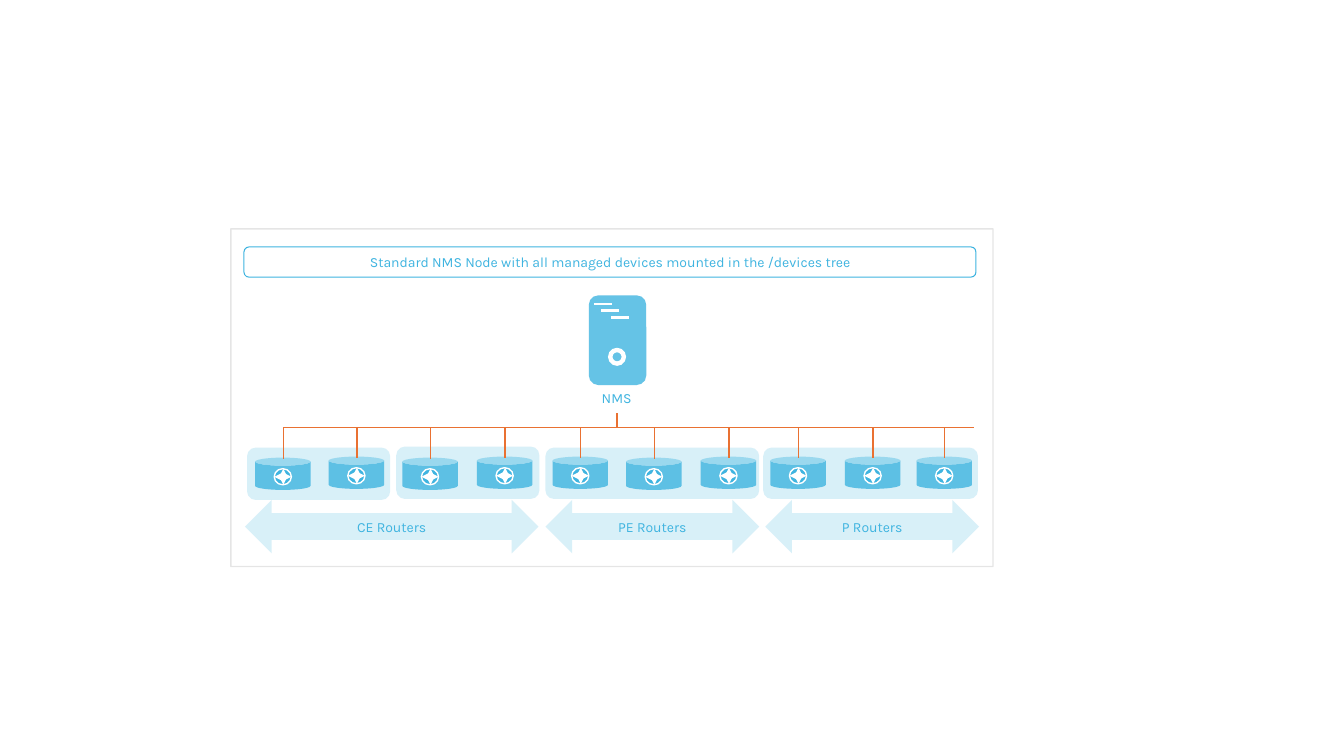
from pptx import Presentation
from pptx import util as u
from pptx.dml.color import RGBColor
from pptx.enum import shapes, text
from pptx.oxml import ns, xmlchemy as xc

PX = 9144  # 100 px to the inch
BLUE, ORANGE, WHITE, GREY = "3FB4E0", "E97132", "FFFFFF", "808080"
kind = shapes.MSO_SHAPE
rgb = RGBColor.from_string


def draw(parent, form, box, fill=None, line=None, width=1, alpha=100):
    """Add a preset shape; alpha is the opacity in percent."""
    item = parent.shapes.add_shape(form, *[n * PX for n in box])
    item.shadow.inherit = False
    if fill:
        item.fill.solid()
        item.fill.fore_color.rgb = rgb(fill)
    else:
        item.fill.background()
    if line:
        item.line.color.rgb = rgb(line)
        item.line.width = u.Pt(width)
    else:
        item.line.fill.background()
    if alpha < 100:
        for clr in item._element.spPr.iter(ns.qn("a:srgbClr")):
            clr.append(xc.OxmlElement("a:alpha"))
            clr[-1].set("val", str(alpha * 1000))
    return item


def label(item, words, size=10, font="Karla", color=BLUE,
          align=text.PP_ALIGN.CENTER, anchor=text.MSO_ANCHOR.MIDDLE):
    frame = item.text_frame
    frame.word_wrap = True
    frame.vertical_anchor = anchor
    para = frame.paragraphs[0]
    para.alignment = align
    run = para.add_run()
    run.text = words
    run.font.size = u.Pt(size)
    run.font.name = font
    run.font.color.rgb = rgb(color)


deck = Presentation()
deck.slide_width, deck.slide_height = 1333 * PX, 750 * PX
slide = deck.slides.add_slide(deck.slide_layouts[6])
wires = []  # parent, x1, y1, x2, y2, colour, width, arrowheads

# Frame and heading
draw(slide, kind.RECTANGLE, (229, 227, 756, 335), line=GREY, alpha=20)
head = draw(slide, kind.ROUNDED_RECTANGLE, (242, 245, 726, 30), line=BLUE, width=0)
label(head, "Standard NMS Node with all managed devices mounted in the /devices tree")

# Server
draw(slide, kind.ROUNDED_RECTANGLE, (584, 293, 57, 89), BLUE, alpha=80)
draw(slide, kind.DONUT, (603, 345, 18, 18), WHITE)
for x, y in ((589, 302), (596, 308), (606, 315)):
    wires.append((slide, x, y, x + 18, y, WHITE, 1.5, False))
name = slide.shapes.add_textbox(587 * PX, 382 * PX, 56 * PX, 27 * PX)
label(name, "NMS", align=text.PP_ALIGN.LEFT, anchor=text.MSO_ANCHOR.TOP)

# Router groups
for x, y, w, h in ((245, 444, 142, 52), (393, 443, 142, 52),
                   (541, 444, 212, 51), (757, 444, 213, 51)):
    draw(slide, kind.ROUNDED_RECTANGLE, (x, y, w, h), BLUE, alpha=20)

# Group names
for x, w, words in ((243, 291, "CE Routers"), (541, 212, "PE Routers"),
                    (759, 212, "P Routers")):
    span = draw(slide, kind.LEFT_RIGHT_ARROW, (x, 496, w, 53), BLUE, alpha=20)
    label(span, words)

# Bus and its link to the server
bus = 424
wires.append((slide, 281, bus, 966, bus, ORANGE, 1, False))
wires.append((slide, 612, bus, 612, 410, ORANGE, 1, False))

# Routers, each with a drop from the bus
for mid, top in ((281, 454), (354, 453), (427, 454), (501, 453), (576, 453),
                 (649, 454), (723, 453), (792, 453), (866, 453), (937, 453)):
    draw(slide, kind.CAN, (mid - 28, top, 55, 32), BLUE, alpha=80)
    icon = slide.shapes.add_group_shape()
    draw(icon, kind.OVAL, (mid - 9, top + 11, 17, 16), BLUE, WHITE)
    wires.append((icon, mid, top + 11, mid, top + 27, WHITE, 1, True))
    wires.append((icon, mid - 9, top + 19, mid + 8, top + 19, WHITE, 1, True))
    wires.append((slide, mid, top + 1, mid, bus, ORANGE, 1, False))

# All straight lines
for parent, x1, y1, x2, y2, color, width, arrows in wires:
    wire = parent.shapes.add_connector(
        shapes.MSO_CONNECTOR.STRAIGHT, x1 * PX, y1 * PX, x2 * PX, y2 * PX)
    wire.line.color.rgb = rgb(color)
    wire.line.width = u.Pt(width)
    if arrows:
        for tag in ("a:headEnd", "a:tailEnd"):
            tip = xc.OxmlElement(tag)
            tip.set("type", "triangle")
            wire.line._get_or_add_ln().append(tip)
    wire._element.spPr.append(xc.OxmlElement("a:effectLst"))

deck.save("out.pptx")
